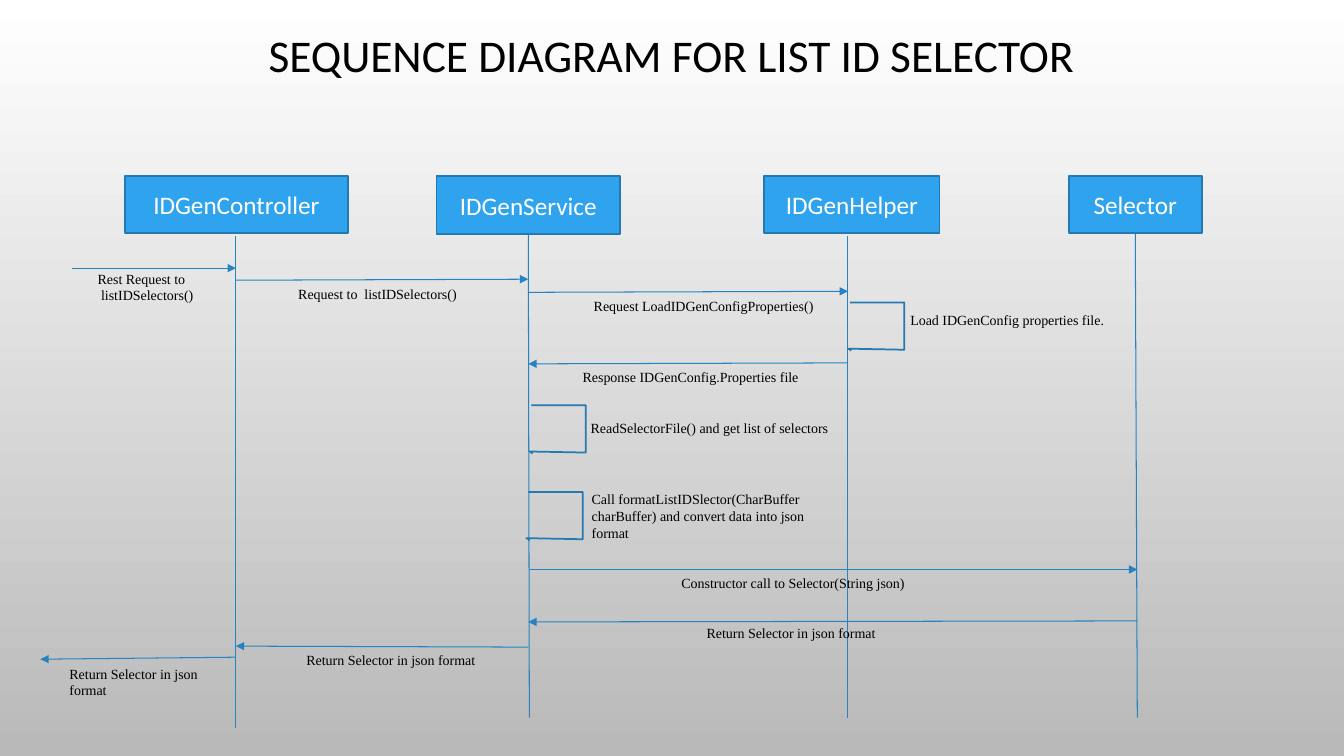
"""Build the sequence diagram slide for the list ID selector."""
from lxml import etree
from pptx import Presentation
from pptx.dml.color import RGBColor
from pptx.enum.shapes import MSO_CONNECTOR, MSO_SHAPE
from pptx.enum.text import MSO_ANCHOR, MSO_AUTO_SIZE, PP_ALIGN
from pptx.oxml.ns import qn
from pptx.util import Inches, Pt

STRAIGHT, RECTANGLE = MSO_CONNECTOR.STRAIGHT, MSO_SHAPE.RECTANGLE
MIDDLE, TOP = MSO_ANCHOR.MIDDLE, MSO_ANCHOR.TOP
CENTER, LEFT = PP_ALIGN.CENTER, PP_ALIGN.LEFT
FIT_SHAPE = MSO_AUTO_SIZE.SHAPE_TO_FIT_TEXT
BOTTOM_SIDE = 2

TITLE = "SEQUENCE DIAGRAM FOR LIST ID SELECTOR"
TITLE_AREA = (1.01, 0.26, 11.3, 0.62)
BACKGROUND = ("FFFFFF", "B9B9B9")
BOX_FILL, BOX_LINE, ARROW_LINE = "2FA3EE", "2379B0", "2683BF"

TITLE_FORMAT = {"size": Pt(32.4), "name": "Calibri", "color": "000000"}
BOX_FORMAT = {"size": Pt(18), "name": "Calibri", "color": "FFFFFF"}
LABEL_FORMAT = {"size": Pt(10), "name": "Times New Roman", "color": "000000"}

PARTICIPANT_TOP = 1.75
# name, box left, width, height, lifeline start, lifeline end, joined to box
PARTICIPANTS = [
    ("IDGenController", 1.24, 2.21, 0.56, (2.34, 2.34), (2.34, 7.22), False),
    ("IDGenService", 4.33, 1.82, 0.57, (5.24, 2.32), (5.25, 7.12), True),
    ("IDGenHelper", 7.58, 1.74, 0.56, (8.41, 2.34), (8.41, 7.12), False),
    ("Selector", 10.6, 1.32, 0.56, (11.27, 2.31), (11.28, 7.12), True),
]
MESSAGES = [
    ((0.71, 2.66), (2.34, 2.66)),
    ((2.34, 2.78), (5.24, 2.77)),
    ((5.24, 2.9), (8.41, 2.89)),
    ((8.41, 3.6), (5.24, 3.61)),
    ((5.25, 5.65), (11.28, 5.65)),
    ((11.28, 6.16), (5.24, 6.17)),
    ((5.24, 6.42), (2.34, 6.41)),
    ((2.34, 6.52), (0.4, 6.54)),
]
SELF_CALLS = [(8.43, 3), (5.27, 4.02), (5.24, 4.88)]
SELF_CALL_PATH = [(0.54, 0), (0.54, 0.47), (0.03, 0.46), (-0.02, 0.46),
                  (0.01, 0.47), (0, 0.48)]
# text, area, wrapped
LABELS = [
    ("Load IDGenConfig properties file.", (8.93, 3.04, 2.15, 0.27), False),
    ("Request LoadIDGenConfigProperties()", (5.79, 2.9, 2.45, 0.27), False),
    ("Response IDGenConfig.Properties file", (5.68, 3.61, 2.39, 0.27), True),
    ("Rest Request to\n listIDSelectors()", (0.87, 2.63, 1.17, 0.44), False),
    ("Request to  listIDSelectors()", (2.86, 2.78, 1.86, 0.27), True),
    ("ReadSelectorFile() and get list of selectors", (5.76, 4.11, 2.59, 0.27), False),
    ("Call formatListIDSlector(CharBuffer charBuffer) and convert data into json format",
     (5.77, 4.82, 2.55, 0.61), True),
    ("Constructor call to Selector(String json)", (6.66, 5.65, 2.68, 0.27), True),
    ("Return Selector in json format", (6.91, 6.15, 2.17, 0.27), True),
    ("Return Selector in json format", (2.94, 6.41, 2.12, 0.27), True),
    ("Return Selector in json format", (0.59, 6.55, 1.58, 0.44), True),
]


def rgb(code):
    return RGBColor.from_string(code)


def inches(values):
    return [Inches(value) for value in values]


def write(shape, text, text_format, align, anchor, wrap=True):
    frame = shape.text_frame
    frame.text = text
    frame.word_wrap = wrap
    frame.vertical_anchor = anchor
    for paragraph in frame.paragraphs:
        paragraph.alignment = align
        for run in paragraph.runs:
            for key, value in text_format.items():
                if key == "color":
                    run.font.color.rgb = rgb(value)
                else:
                    setattr(run.font, key, value)
    return frame


def outline(shape, color, width):
    shape.line.color.rgb = rgb(color)
    shape.line.width = Pt(width)


def add_line(shapes, start, end, arrow=False):
    line = shapes.add_connector(STRAIGHT, *inches(start + end))
    outline(line, ARROW_LINE, 0.75)
    properties = line.element.spPr
    if arrow:
        etree.SubElement(properties.find(qn("a:ln")), qn("a:tailEnd"), type="triangle")
    etree.SubElement(properties, qn("a:effectLst"))
    return line


def add_participant(shapes, name, left, width, height, start, end, joined):
    box = shapes.add_shape(RECTANGLE, *inches((left, PARTICIPANT_TOP, width, height)))
    box.shadow.inherit = False
    box.fill.solid()
    box.fill.fore_color.rgb = rgb(BOX_FILL)
    outline(box, BOX_LINE, 1.25)
    write(box, name, BOX_FORMAT, CENTER, MIDDLE)
    lifeline = add_line(shapes, start, end)
    if joined:
        lifeline.begin_connect(box, BOTTOM_SIDE)


def add_self_call(shapes, left, top):
    builder = shapes.build_freeform(Inches(left), Inches(top))
    corners = [inches((left + dx, top + dy)) for dx, dy in SELF_CALL_PATH]
    builder.add_line_segments(corners, close=False)
    loop = builder.convert_to_shape()
    loop.shadow.inherit = False
    loop.fill.background()
    outline(loop, BOX_LINE, 1.25)


def main():
    deck = Presentation()
    deck.slide_width, deck.slide_height = Inches(13.33), Inches(7.5)
    slide = deck.slides.add_slide(deck.slide_layouts[6])
    shapes = slide.shapes

    backdrop = slide.background.fill
    backdrop.gradient()
    backdrop.gradient_angle = 270
    for stop, color in zip(backdrop.gradient_stops, BACKGROUND):
        stop.color.rgb = rgb(color)

    title = shapes.add_textbox(*inches(TITLE_AREA))
    heading = write(title, TITLE, TITLE_FORMAT, CENTER, MIDDLE)
    heading.paragraphs[0].line_spacing = 0.9

    for participant in PARTICIPANTS:
        add_participant(shapes, *participant)
    for start, end in MESSAGES:
        add_line(shapes, start, end, arrow=True)
    for left, top in SELF_CALLS:
        add_self_call(shapes, left, top)
    for text, area, wrap in LABELS:
        label = shapes.add_textbox(*inches(area))
        write(label, text, LABEL_FORMAT, LEFT, TOP, wrap).auto_size = FIT_SHAPE

    deck.save("out.pptx")


if __name__ == "__main__":
    main()
